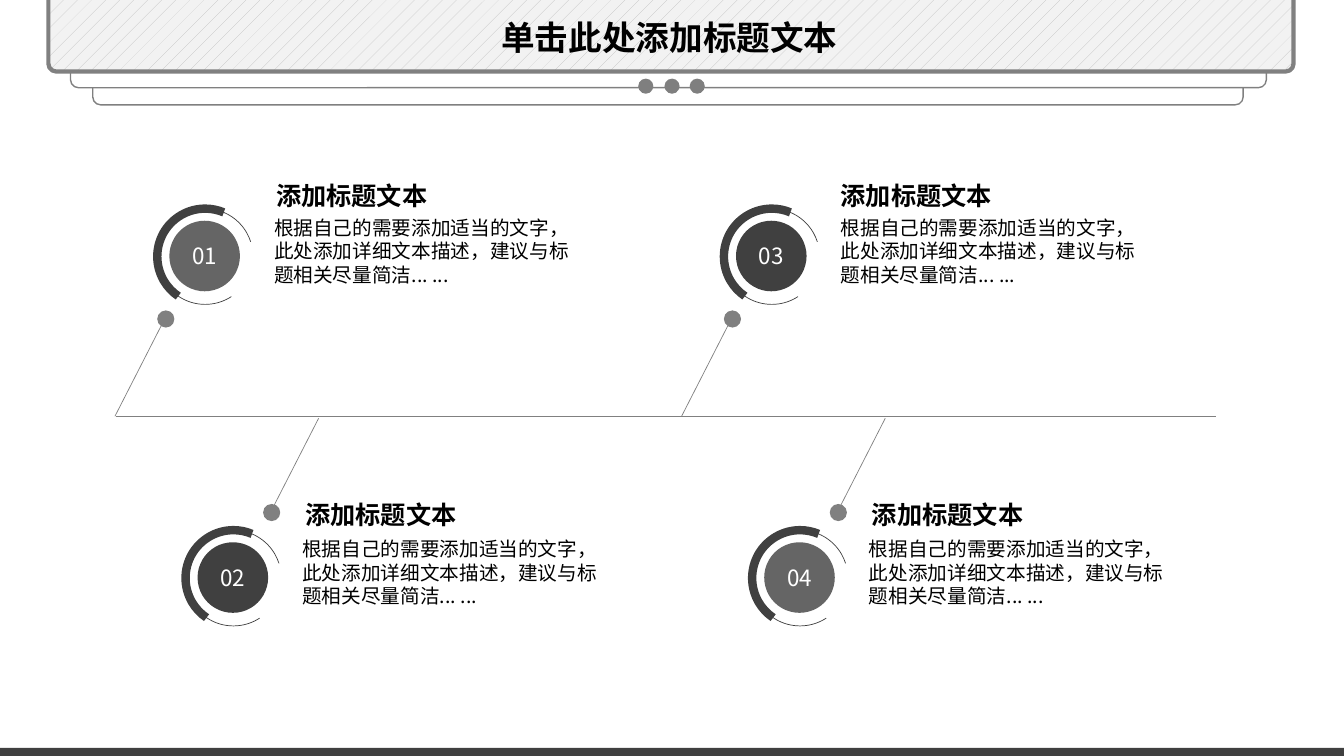
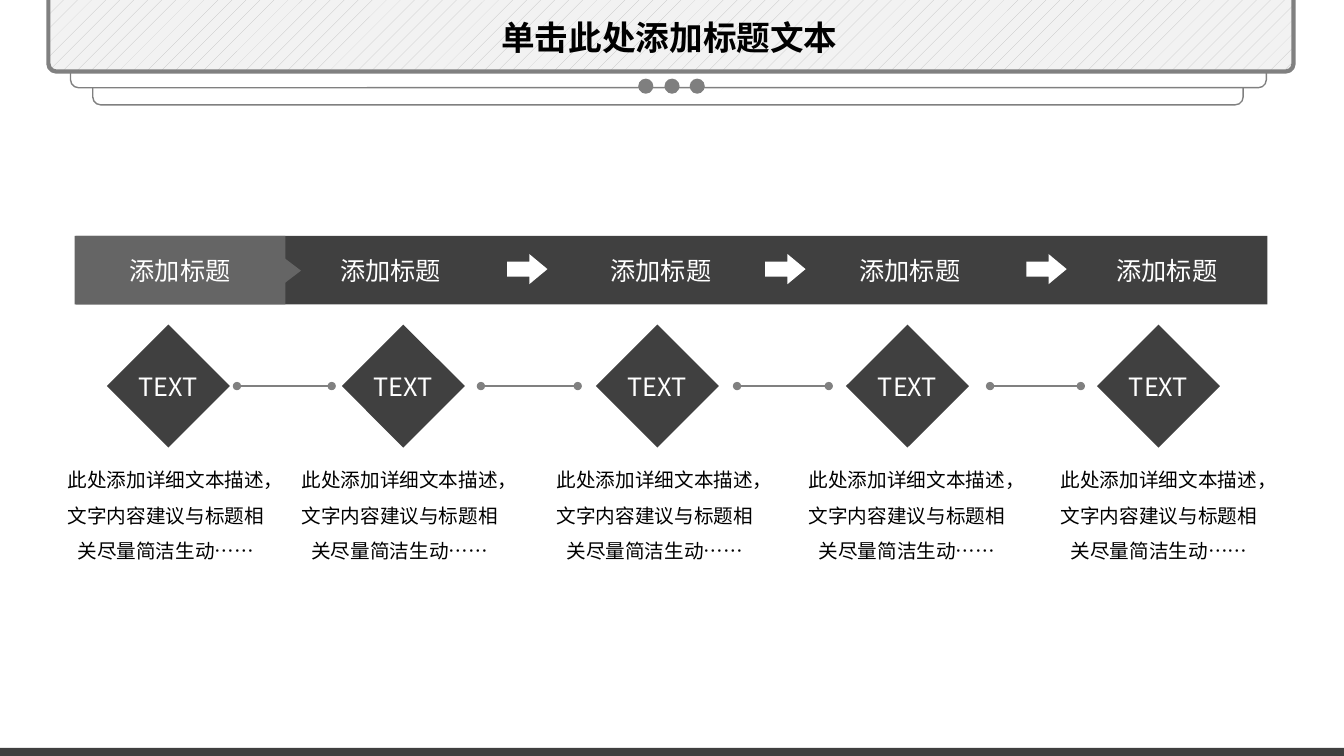
from dataclasses import dataclass

from lxml.etree import SubElement
from pptx import Presentation
from pptx.dml.color import RGBColor as RGB
from pptx.enum.dml import MSO_PATTERN as PATTERN
from pptx.enum.shapes import MSO_CONNECTOR as CONN, MSO_SHAPE as SHAPE
from pptx.enum.text import MSO_ANCHOR as ANCHOR, MSO_AUTO_SIZE as FIT, PP_ALIGN as ALIGN
from pptx.oxml.ns import qn
from pptx.util import Pt


@dataclass(frozen=True)
class Theme:
    font: str = "Noto Sans CJK JP"
    dark: RGB = RGB(0x40, 0x40, 0x40)
    mid: RGB = RGB(0x65, 0x65, 0x65)
    dot: RGB = RGB(0x7F, 0x7F, 0x7F)
    gray: RGB = RGB(0x80, 0x80, 0x80)
    hatch: RGB = RGB(0xBF, 0xBF, 0xBF)
    pale: RGB = RGB(0xF2, 0xF2, 0xF2)
    white: RGB = RGB(0xFF, 0xFF, 0xFF)
    black: RGB = RGB(0, 0, 0)
    title: int = 24
    heading: int = 18
    number: int = 16
    body: int = 14


T = Theme()
PX = 9144


def draw(s, kind, x, y, w, h, fill=None, line=None, weight=1, adj=()):
    box = [v * PX for v in (x, y, w, h)]
    if kind is None:
        return s.shapes.add_textbox(*box)
    sp = s.shapes.add_shape(kind, *box)
    sp.shadow.inherit = False
    for i, value in enumerate(adj):
        sp.adjustments[i] = value
    if fill is None:
        sp.fill.background()
    else:
        sp.fill.solid()
        sp.fill.fore_color.rgb = fill
    if line is None:
        sp.line.fill.background()
    else:
        sp.line.color.rgb = line
        sp.line.width = Pt(weight)
    return sp


def write(sp, text, size=T.body, color=T.black, bold=False, align=ALIGN.LEFT,
          anchor=ANCHOR.TOP, wrap=True, fit=FIT.SHAPE_TO_FIT_TEXT, before=0, spacing=1.0):
    tf = sp.text_frame
    tf.word_wrap = wrap
    tf.auto_size = fit
    tf.vertical_anchor = anchor
    p = tf.paragraphs[0]
    p.alignment = align
    p.space_before = Pt(before)
    p.line_spacing = spacing
    r = p.add_run()
    r.text = text
    r.font.size = Pt(size)
    r.font.bold = bold
    r.font.color.rgb = color
    r.font.name = T.font
    SubElement(r._r.get_or_add_rPr(), qn("a:ea"), typeface=T.font)


label = dict(color=T.white, align=ALIGN.CENTER, anchor=ANCHOR.MIDDLE, wrap=False, fit=FIT.NONE)

prs = Presentation()
prs.slide_width = 1333 * PX
prs.slide_height = 750 * PX
layout = prs.slide_layouts[6]
timeline, process = [prs.slides.add_slide(layout) for _ in range(2)]

for ph in list(layout.placeholders):
    layout.shapes.element.remove(ph.element)
for x, y, w, fill, weight in (
    (92, -286, 1141, None, 1),
    (70, -303, 1186, T.white, 1),
    (48, -319, 1235, T.pale, 3),
):
    panel = draw(timeline, SHAPE.ROUNDED_RECTANGLE, x, y, w, 390, fill, T.gray, weight, [0.02])
panel.fill.patterned()
panel.fill.pattern = PATTERN.PERCENT_5
panel.fill.fore_color.rgb = T.hatch
panel.fill.back_color.rgb = T.pale
draw(timeline, SHAPE.RECTANGLE, -2, 742, 1335, 8, T.dark)
for x in (633, 659, 684):
    draw(timeline, SHAPE.OVAL, x, 78, 15, 15, T.dot)
for sp in list(timeline.shapes):
    layout.shapes.element.append(sp.element)

COLUMN = 562
lines = [(timeline, 115, 413, 1206, 413, 0.5, False)]
for dx in (0, COLUMN):
    lines.append((timeline, 114 + dx, 413, 161 + dx, 321, 0.5, False))
    lines.append((timeline, 316 + dx, 415, 269 + dx, 507, 0.5, False))
for x1, x2 in ((235, 329), (477, 573), (731, 822), (982, 1072)):
    lines.append((process, x1, 383, x2, 383, 1, True))
for s, x1, y1, x2, y2, weight, ovals in lines:
    c = s.shapes.add_connector(CONN.STRAIGHT, *[v * PX for v in (x1, y1, x2, y2)])
    c.line.color.rgb = T.gray
    c.line.width = Pt(weight)
    spPr = c.element.spPr
    if ovals:
        for end in ("a:headEnd", "a:tailEnd"):
            SubElement(spPr.find(qn("a:ln")), qn(end), type="oval")
    SubElement(spPr, qn("a:effectLst"))

detail = "根据自己的需要添加适当的文字，此处添加详细文本描述，建议与标题相关尽量简洁... ..."
for number, fill, x, y, dot_x, dot_y, head_x, head_y in (
    ("01", T.mid, 156, 207, 156, 308, 264, 174),
    ("02", T.dark, 184, 526, 261, 500, 293, 490),
    ("03", T.dark, 156 + COLUMN, 207, 156 + COLUMN, 308, 824, 174),
    ("04", T.mid, 184 + COLUMN, 526, 261 + COLUMN, 500, 855, 490),
):
    draw(timeline, SHAPE.OVAL, dot_x, dot_y, 17, 17, T.gray)
    disc = draw(timeline, SHAPE.OVAL, x + 12, y + 12, 70, 70, fill)
    write(disc, number, T.number, **label)
    for weight, adj in ((0.5, (34.06, 205.29)), (6, (74.49, 175.71))):
        draw(timeline, SHAPE.ARC, x, y, 95, 95, None, T.dark, weight, adj)
    write(draw(timeline, None, x + 106, y + 2, 322, 81), detail, before=6)
    write(draw(timeline, None, head_x, head_y, 172, 40), "添加标题文本", T.heading,
          bold=True, wrap=False)

draw(process, SHAPE.RECTANGLE, 75, 234, 1182, 68, T.dark)
for x in (296, 564, 811, 1066):
    write(draw(process, None, x, 248, 183, 40), "添加标题", T.heading, T.white,
          align=ALIGN.CENTER, before=9)
for x in (503, 759, 1018):
    draw(process, SHAPE.RIGHT_ARROW, x, 252, 40, 30, T.white, adj=(0.5, 0.6))
active = draw(process, SHAPE.RECTANGLE, 74, 234, 209, 68, T.mid)
write(active, "添加标题", T.heading, **label)
draw(process, SHAPE.ISOSCELES_TRIANGLE, 272, 258, 32, 21, T.mid).rotation = 90

for x, text_x in ((106, 50), (339, 282), (591, 535), (839, 785), (1088, 1035)):
    write(draw(process, SHAPE.DIAMOND, x, 322, 122, 122, T.dark), "TEXT", T.heading, **label)
    write(draw(process, None, text_x, 448, 229, 116),
          "此处添加详细文本描述，文字内容建议与标题相关尽量简洁生动……",
          align=ALIGN.CENTER, before=7, spacing=1.5)

for s in prs.slides:
    write(draw(s, None, 426, 12, 476, 50), "单击此处添加标题文本", T.title,
          bold=True, align=ALIGN.CENTER)

prs.save("out.pptx")
